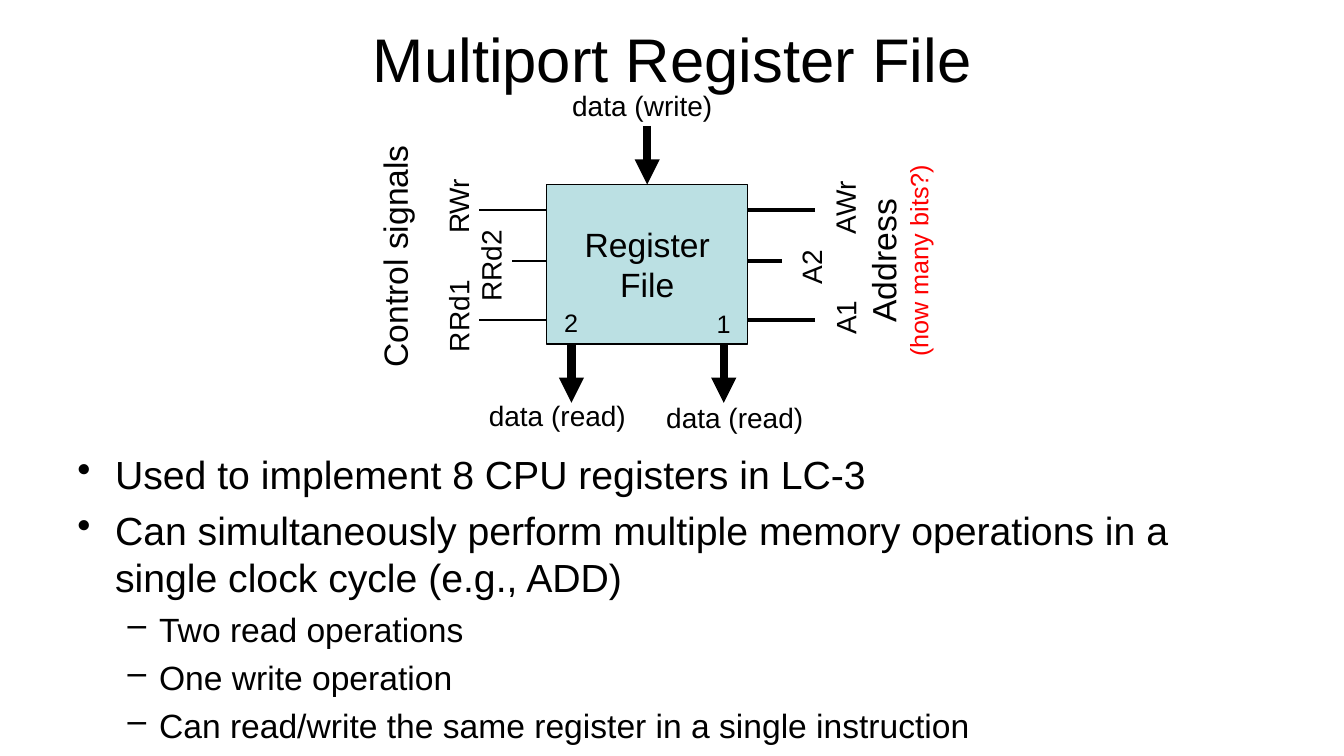
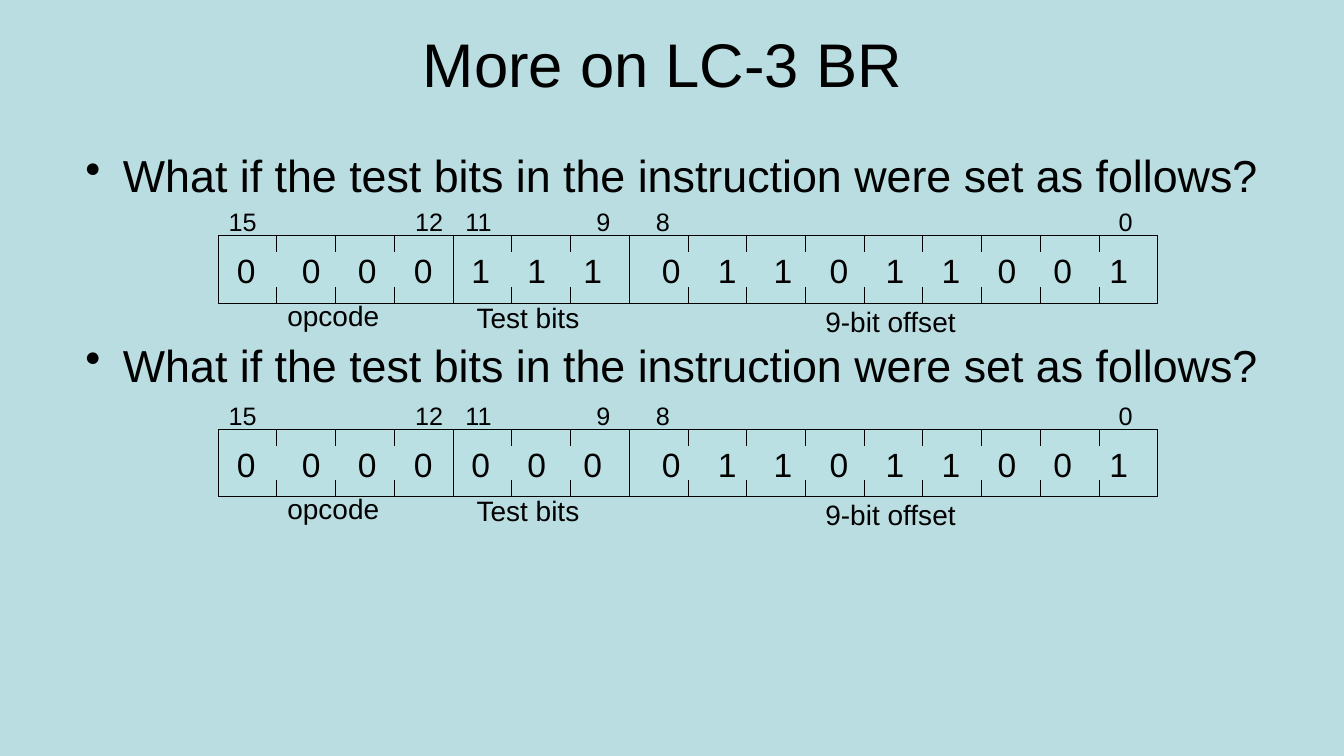
from dataclasses import dataclass
from typing import Any, NamedTuple, Sequence

from lxml.etree import SubElement
from pptx import Presentation
from pptx.dml.color import RGBColor
from pptx.enum.shapes import MSO_CONNECTOR, MSO_SHAPE
from pptx.enum.text import MSO_ANCHOR, MSO_AUTO_SIZE, PP_ALIGN
from pptx.oxml.ns import qn
from pptx.util import Cm, Pt

FONT = "Arial"
BLACK = "000000"
RED = "FF0000"
WHITE = "FFFFFF"
PALE_TEAL = "BADDE1"
BOX_TEAL = "BBE0E3"
BULLETS = ("•", "–")
INDENTS = ((0.95, -0.95), (2.06, -0.79))

BIT_COUNT = 16
BIT_WIDTH = 1.48
BIT_PITCH = 1.41
WORD_LEFT = 5.5
WORD_HEIGHT = 1.7
TICK_HEIGHT = 0.42
FIELD_ENDS = (4, 7)


class Place(NamedTuple):
    """Left, top, width and height in centimetres."""
    left: float
    top: float
    width: float
    height: float


@dataclass(frozen=True)
class Line:
    """One paragraph; a level makes it a bullet, tabs are in centimetres."""
    text: str
    size: float
    color: str = BLACK
    before: float = 0
    level: int | None = None
    tabs: tuple[float, ...] = ()


class Label(NamedTuple):
    text: str
    place: Place
    size: float = 20
    rotation: float = 0


class Wire(NamedTuple):
    start: tuple[float, float]
    end: tuple[float, float]
    weight: float
    arrow: bool = False


class Field(NamedTuple):
    """Left edge and width of a group of bits, and its first gap."""
    left: float
    width: float
    first_gap: float = BIT_PITCH


def rgb(color: str) -> RGBColor:
    return RGBColor.from_string(color)


def fill_text(shape: Any, lines: Sequence[Line], *, align: PP_ALIGN = PP_ALIGN.LEFT,
              anchor: MSO_ANCHOR = MSO_ANCHOR.TOP, wrap: bool = True) -> None:
    frame = shape.text_frame
    frame.word_wrap = wrap
    frame.auto_size = MSO_AUTO_SIZE.NONE if wrap else MSO_AUTO_SIZE.SHAPE_TO_FIT_TEXT
    frame.vertical_anchor = anchor
    for index, line in enumerate(lines):
        para = frame.add_paragraph() if index else frame.paragraphs[0]
        properties = para._p.get_or_add_pPr()
        if line.level is not None:
            margin, indent = INDENTS[line.level]
            properties.set("marL", str(Cm(margin)))
            properties.set("indent", str(Cm(indent)))
            SubElement(properties, qn("a:buChar"), char=BULLETS[line.level])
        if line.tabs:
            stops = SubElement(properties, qn("a:tabLst"))
            for tab in line.tabs:
                SubElement(stops, qn("a:tab"), pos=str(Cm(tab)), algn="l")
        para.alignment = align
        if line.before:
            para.space_before = Pt(line.before)
        span = para.add_run()
        span.text = line.text
        span.font.name = FONT
        span.font.size = Pt(line.size)
        span.font.color.rgb = rgb(line.color)


def add_text(shapes: Any, lines: Sequence[Line], place: Place, *,
             rotation: float = 0, **text_format: Any) -> None:
    box = shapes.add_textbox(*map(Cm, place))
    box.rotation = rotation
    fill_text(box, lines, **text_format)


def add_label(shapes: Any, label: Label) -> None:
    add_text(shapes, [Line(label.text, label.size)], label.place,
             rotation=label.rotation, wrap=False)


def add_box(shapes: Any, place: Place) -> Any:
    box = shapes.add_shape(MSO_SHAPE.RECTANGLE, *map(Cm, place))
    box.shadow.inherit = False
    box.fill.solid()
    box.fill.fore_color.rgb = rgb(BOX_TEAL)
    box.line.color.rgb = rgb(BLACK)
    box.line.width = Pt(0.75)
    return box


def add_wire(shapes: Any, wire: Wire) -> None:
    connector = shapes.add_connector(MSO_CONNECTOR.STRAIGHT, *map(Cm, wire.start + wire.end))
    connector.line.color.rgb = rgb(BLACK)
    connector.line.width = Pt(wire.weight)
    properties = connector._element.spPr
    if wire.arrow:
        SubElement(properties.find(qn("a:ln")), qn("a:tailEnd"), type="triangle")
    SubElement(properties, qn("a:effectLst"))


def add_page(deck: Any, title: str, title_place: Place, background: str) -> Any:
    page = deck.slides.add_slide(deck.slide_layouts[6])
    page.background.fill.solid()
    page.background.fill.fore_color.rgb = rgb(background)
    add_text(page.shapes, [Line(title, 44)], title_place,
             align=PP_ALIGN.CENTER, anchor=MSO_ANCHOR.MIDDLE)
    return page


def draw_register_file(shapes: Any) -> None:
    left, top, width, height = block = Place(13.77, 4.65, 5.08, 4.02)
    right, bottom = left + width, top + height
    fill_text(add_box(shapes, block), [Line("Register", 24), Line("File", 24)],
              align=PP_ALIGN.CENTER, anchor=MSO_ANCHOR.MIDDLE)

    arrow_length = 1.48
    wires = [Wire((16.31, top - arrow_length), (16.31, top), 6, True)]
    wires += [Wire((x, bottom), (x, bottom + arrow_length), 6, True) for x in (14.4, 18.24)]
    for y, length in ((5.3, 1.69), (6.57, 0.86), (8.06, 1.69)):
        wires.append(Wire((left, y), (left - length, y), 1.5))
        wires.append(Wire((right + length, y), (right, y), 3))
    for wire in wires:
        add_wire(shapes, wire)

    for label in (
        Label("RRd1", Place(10.39, 7.39, 2.34, 1.12), rotation=270),
        Label("RRd2", Place(11.2, 6.12, 2.34, 1.12), rotation=270),
        Label("RWr", Place(10.59, 4.62, 1.93, 1.12), rotation=270),
        Label("A1", Place(20.6, 7.42, 1.42, 1.12), rotation=270),
        Label("A2", Place(19.74, 6.15, 1.42, 1.12), rotation=270),
        Label("AWr", Place(20.35, 4.65, 1.9, 1.12), rotation=270),
        Label("Control signals", Place(6.86, 5.79, 6.17, 1.27), 24, 270),
        Label("1", Place(17.81, 7.65, 0.86, 1.02), 18),
        Label("2", Place(13.97, 7.62, 0.86, 1.02), 18),
        Label("data (read)", Place(12.07, 9.91, 3.99, 1.12)),
        Label("data (read)", Place(16.54, 9.96, 3.99, 1.12)),
        Label("data (write)", Place(14.17, 2.11, 4.06, 1.12)),
    ):
        add_label(shapes, label)
    add_text(shapes, [Line("Address", 24), Line("(how many bits?)", 18, RED)],
             Place(19.96, 5.54, 5.38, 2.06), rotation=270, align=PP_ALIGN.CENTER, wrap=False)


def draw_instruction(shapes: Any, top: float, opcode: str, test_bits: str, offset: str) -> None:
    """Draw a 16-bit word with its ticks, bits, bit numbers and field names."""
    bottom = top + WORD_HEIGHT
    add_box(shapes, Place(WORD_LEFT, top, BIT_COUNT * BIT_WIDTH, WORD_HEIGHT))
    for bit in range(1, BIT_COUNT):
        x = WORD_LEFT + bit * BIT_WIDTH
        if bit in FIELD_ENDS:
            spans = [(top, bottom)]
        else:
            spans = [(top, top + TICK_HEIGHT), (bottom - TICK_HEIGHT, bottom)]
        for start, end in spans:
            add_wire(shapes, Wire((x, start), (x, end), 0.75))

    fields = (Field(5.72, 5.51, 1.64), Field(11.63, 3.84), Field(16.43, 12.34))
    for field, bits in zip(fields, (opcode, test_bits, offset)):
        tabs = tuple(field.first_gap + step * BIT_PITCH for step in range(len(bits) - 1))
        add_text(shapes, [Line("\t".join(bits), 24, tabs=tabs)],
                 Place(field.left, top + 0.23, field.width, 1.27))

    for number, left, width in (("15", 5.51, 1.22), ("12", 10.21, 1.22), ("11", 11.48, 1.17),
                                ("9", 14.78, 0.86), ("8", 16.28, 0.86), ("0", 27.94, 0.86)):
        add_label(shapes, Label(number, Place(left, top - 0.86, width, 1.02), 18))
    for name, left, drop, width in (("opcode", 6.99, 1.45, 2.84), ("Test bits", 11.76, 1.5, 3.12),
                                    ("9-bit offset", 20.55, 1.6, 3.81)):
        add_label(shapes, Label(name, Place(left, top + drop, width, 1.12)))


def build_register_page(deck: Any) -> None:
    page = add_page(deck, "Multiport Register File", Place(6.15, 0.2, 21.6, 2.54), WHITE)
    add_text(page.shapes, [
        Line("Used to implement 8 CPU registers in LC-3", 28, level=0),
        Line("Can simultaneously perform multiple memory operations in a single clock cycle "
             "(e.g., ADD)", 28, before=6.4, level=0),
        *(Line(text, 24, before=5.5, level=1) for text in (
            "Two read operations",
            "One write operation",
            "Can read/write the same register in a single instruction",
        )),
    ], Place(1.7, 11.23, 30.48, 8.05))
    draw_register_file(page.shapes.add_group_shape().shapes)


def build_branch_page(deck: Any) -> None:
    page = add_page(deck, "More on LC-3 BR", Place(2.3, 0, 28.8, 3.18), PALE_TEAL)
    question = "What if the test bits in the instruction were set as follows?"
    add_text(page.shapes, [Line(question, 32, before=gap, level=0) for gap in (0, 97)],
             Place(1.9, 3.6, 30.9, 14.6))
    for top, test_bits in ((5.94, "111"), (10.82, "000")):
        draw_instruction(page.shapes.add_group_shape().shapes, top,
                         "0000", test_bits, "011011001")


def main() -> None:
    deck = Presentation()
    deck.slide_width, deck.slide_height = Cm(33.87), Cm(19.05)
    build_register_page(deck)
    build_branch_page(deck)
    deck.save("out.pptx")


if __name__ == "__main__":
    main()
